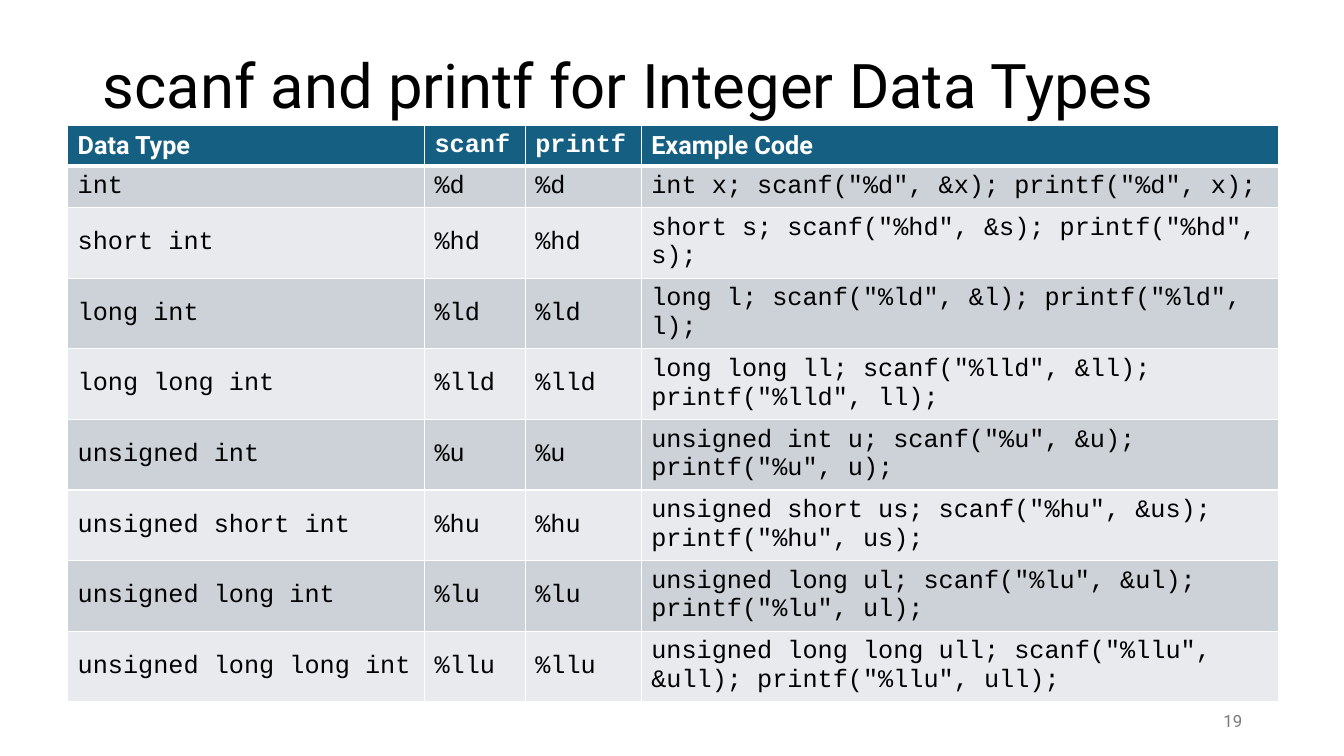
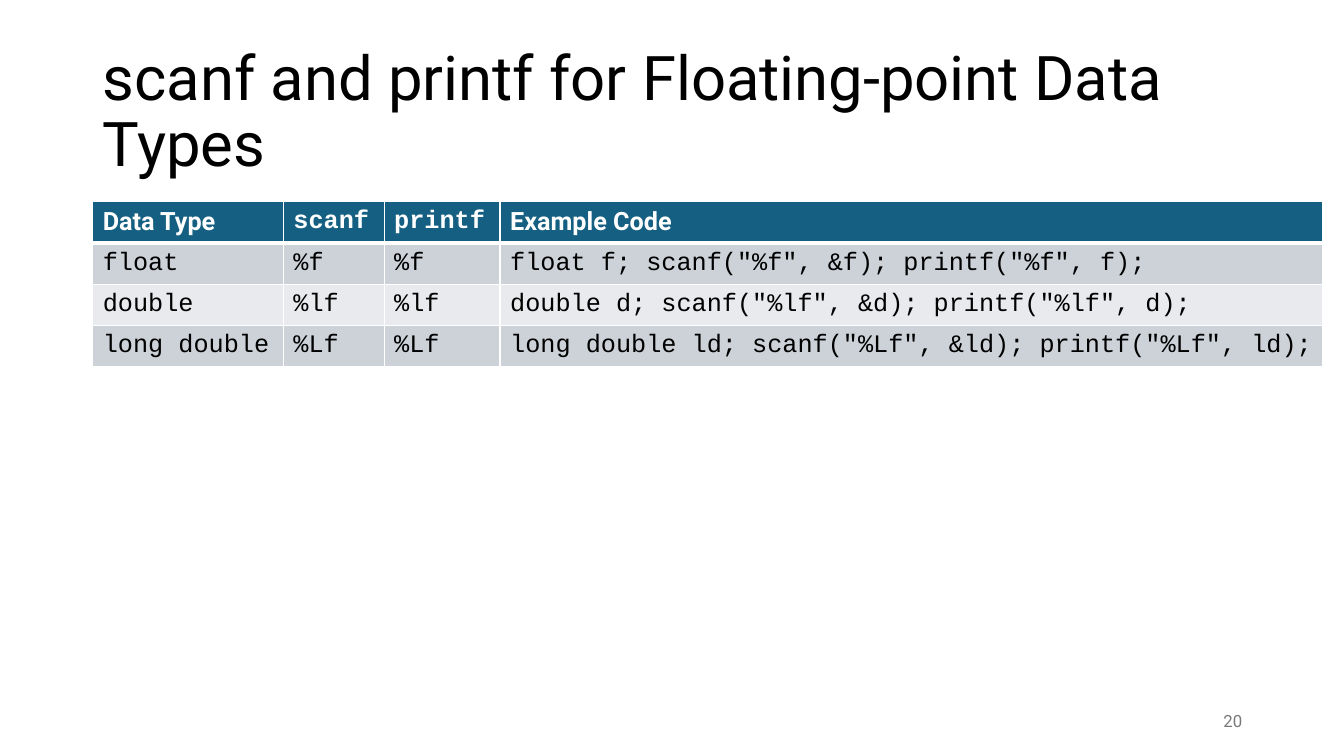
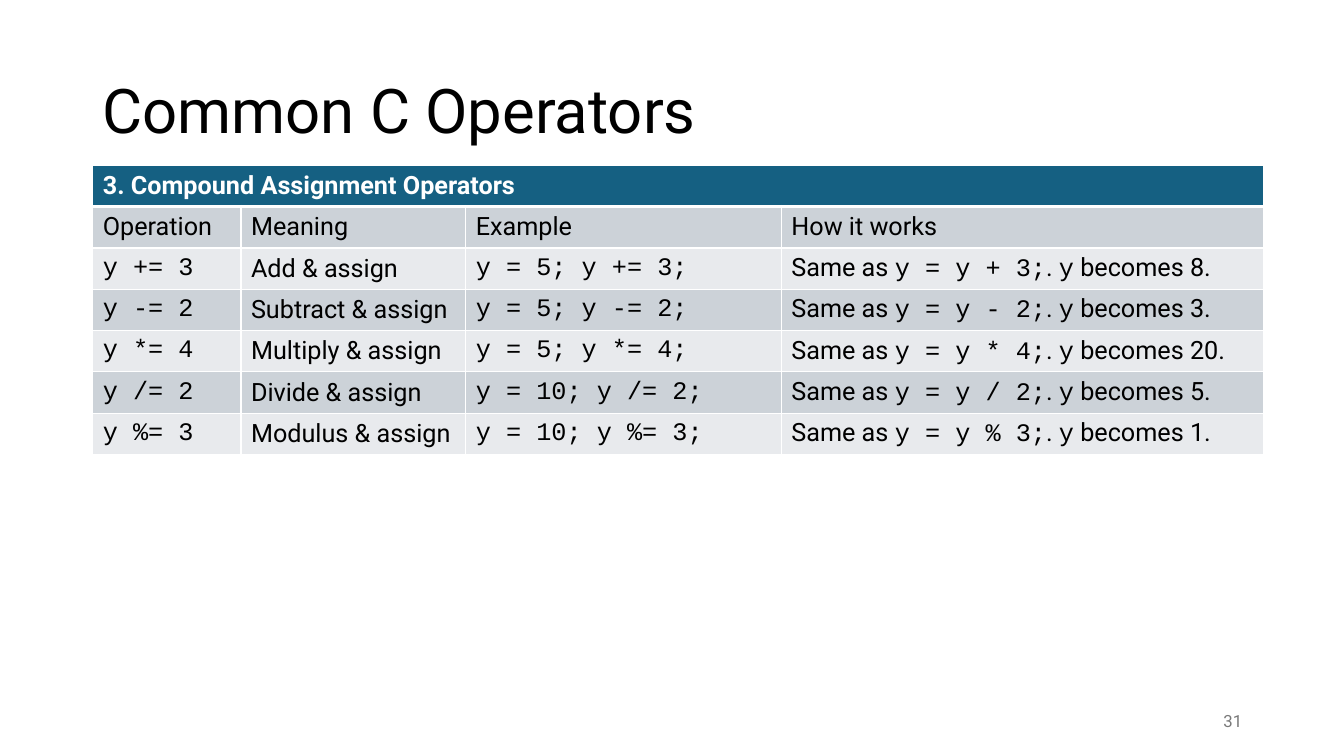
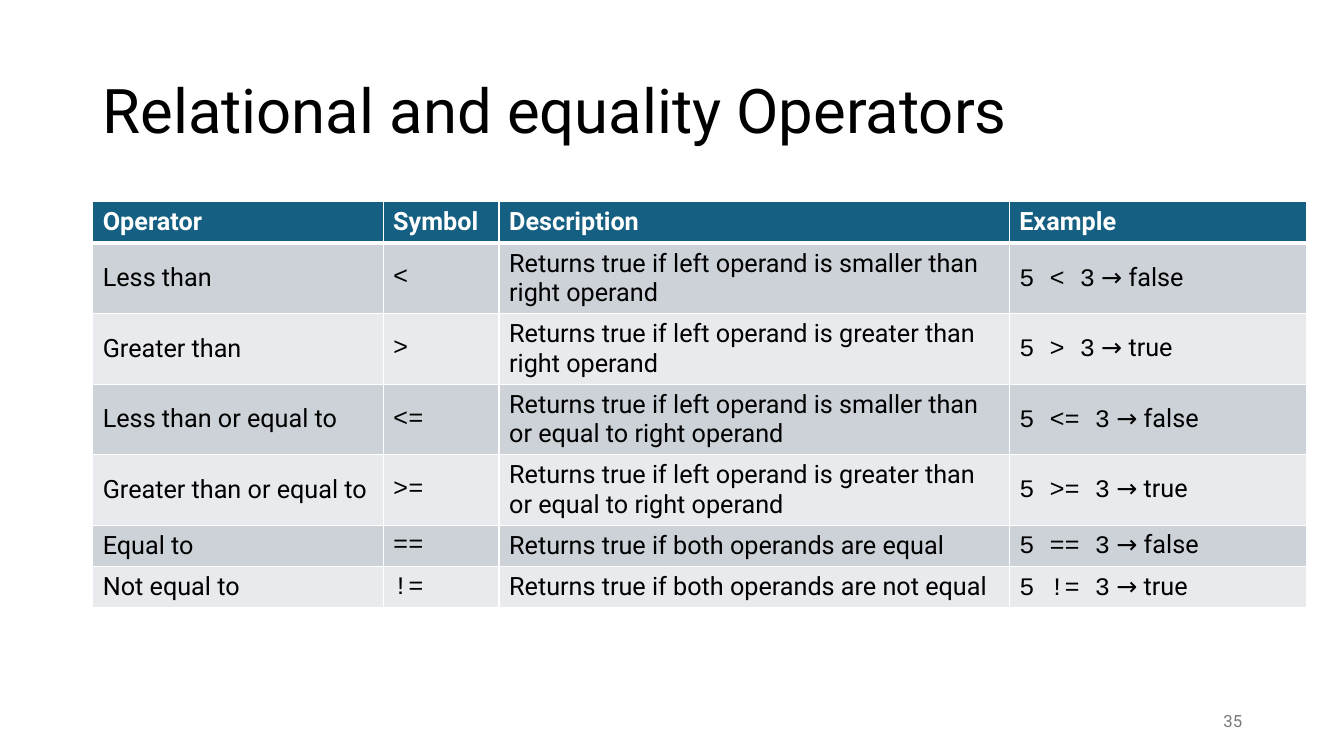
from lxml import etree
from pptx import Presentation
from pptx.dml.color import RGBColor
from pptx.enum.text import MSO_ANCHOR, PP_ALIGN
from pptx.oxml.ns import qn
from pptx.util import Inches, Pt

MIDDLE = MSO_ANCHOR.MIDDLE
LEFT, RIGHT = PP_ALIGN.LEFT, PP_ALIGN.RIGHT

# Shared style
BLACK = RGBColor(0x00, 0x00, 0x00)
WHITE = RGBColor(0xFF, 0xFF, 0xFF)
GREY = RGBColor(0x79, 0x79, 0x79)
HEADER_BLUE = RGBColor(0x15, 0x60, 0x82)
BANDS = [RGBColor(0xCC, 0xD2, 0xD8), RGBColor(0xE8, 0xEA, 0xED)]
PROSE_FONT = "Roboto"
CODE_FONT = "Courier New"
ROW_HEIGHT = 0.41

# Slide contents; text between backticks is set in the code font
FORMAT_HEADER = ["Data Type", "`scanf`", "`printf`", "Example Code"]

# Data type, declared type, conversion, variable
INTEGERS = [
    ("int", "int", "%d", "x"),
    ("short int", "short", "%hd", "s"),
    ("long int", "long", "%ld", "l"),
    ("long long int", "long long", "%lld", "ll"),
    ("unsigned int", "unsigned int", "%u", "u"),
    ("unsigned short int", "unsigned short", "%hu", "us"),
    ("unsigned long int", "unsigned long", "%lu", "ul"),
    ("unsigned long long int", "unsigned long long", "%llu", "ull"),
]
FLOATS = [
    ("float", "float", "%f", "f"),
    ("double", "double", "%lf", "d"),
    ("long double", "long double", "%Lf", "ld"),
]
integer_rows, float_rows = [
    [[f"`{data_type}`", f"`{conversion}`", f"`{conversion}`",
      f'`{declared} {name}; scanf("{conversion}", &{name}); printf("{conversion}", {name});`']
     for data_type, declared, conversion, name in types]
    for types in (INTEGERS, FLOATS)
]

# Operator, operand, verb, starting value, result
ASSIGNMENTS = [
    ("+", 3, "Add", 5, 8),
    ("-", 2, "Subtract", 5, 3),
    ("*", 4, "Multiply", 5, 20),
    ("/", 2, "Divide", 10, 5),
    ("%", 3, "Modulus", 10, 1),
]
assignment_rows = [
    [f"`y {op}= {operand}`", f"{verb} & assign", f"`y = {start}; y {op}= {operand};`",
     f"Same as `y = y {op} {operand};`. `y` becomes {result}."]
    for op, operand, verb, start, result in ASSIGNMENTS
]

# Operator, symbol, condition, result
COMPARISONS = [
    ("Less than", "<", "left operand is smaller than right operand", "false"),
    ("Greater than", ">", "left operand is greater than right operand", "true"),
    ("Less than or equal to", "<=",
     "left operand is smaller than or equal to right operand", "false"),
    ("Greater than or equal to", ">=",
     "left operand is greater than or equal to right operand", "true"),
    ("Equal to", "==", "both operands are equal", "false"),
    ("Not equal to", "!=", "both operands are not equal", "true"),
]
comparison_rows = [
    [operator, f"`{symbol}`", f"Returns true if {condition}", f"`5 {symbol} 3` → {result}"]
    for operator, symbol, condition, result in COMPARISONS
]

# Title, title top, table left and top, column widths, rows, page number
SLIDES = [
    ("scanf and printf for Integer Data Types", 0.15, 0.67, 1.24,
     [3.54, 1, 1.15, 6.32], [FORMAT_HEADER] + integer_rows, 19),
    ("scanf and printf for Floating-point Data Types", 0.4, 0.92, 2,
     [1.89, 1, 1.15, 8.16], [FORMAT_HEADER] + float_rows, 20),
    ("Common C Operators", 0.4, 0.92, 1.64, [1.47, 2.23, 3.13, 4.78],
     [["3. Compound Assignment Operators"],
      ["Operation", "Meaning", "Example", "How it works"]] + assignment_rows, 31),
    ("Relational and equality Operators", 0.4, 0.92, 2, [2.88, 1.15, 5.06, 2.95],
     [["Operator", "Symbol", "Description", "Example"]] + comparison_rows, 35),
]


def add_text(slide, text, left, top, width, height, size, color, align):
    frame = slide.shapes.add_textbox(
        Inches(left), Inches(top), Inches(width), Inches(height)).text_frame
    frame.word_wrap = True
    frame.vertical_anchor = MIDDLE
    paragraph = frame.paragraphs[0]
    paragraph.text = text
    paragraph.alignment = align
    paragraph.font.name = PROSE_FONT
    paragraph.font.size = Pt(size)
    paragraph.font.color.rgb = color
    return paragraph


def style_cell(cell, is_header, fill):
    cell.vertical_anchor = MIDDLE
    properties = cell._tc.get_or_add_tcPr()
    for side in ("lnL", "lnR", "lnT", "lnB"):
        points = 3 if is_header and side == "lnB" else 1
        line = etree.SubElement(properties, qn(f"a:{side}"), w=str(Pt(points)))
        solid = etree.SubElement(line, qn("a:solidFill"))
        etree.SubElement(solid, qn("a:srgbClr"), val=str(WHITE))
    cell.fill.solid()
    cell.fill.fore_color.rgb = fill
    font = cell.text_frame.paragraphs[0].font
    font.size = Pt(18)
    font.bold = is_header
    font.color.rgb = WHITE if is_header else BLACK


prs = Presentation()
prs.slide_width = Inches(13.33)
prs.slide_height = Inches(7.5)

for title, title_top, left, top, widths, rows, page in SLIDES:
    slide = prs.slides.add_slide(prs.slide_layouts[6])

    # Title
    heading = add_text(slide, title, 0.92, title_top, 11.5, 1.45, 44, BLACK, LEFT)
    heading.line_spacing = 0.9

    # Table
    table = slide.shapes.add_table(
        len(rows), len(widths), Inches(left), Inches(top),
        Inches(sum(widths)), Inches(ROW_HEIGHT * len(rows))).table
    for column, width in zip(table.columns, widths):
        column.width = Inches(width)
    for r, texts in enumerate(rows):
        is_header = r == 0
        fill = HEADER_BLUE if is_header else BANDS[(r - 1) % 2]
        for cell in table.rows[r].cells:
            style_cell(cell, is_header, fill)
        if len(texts) == 1:
            table.cell(r, 0).merge(table.cell(r, len(widths) - 1))
        for c, text in enumerate(texts):
            paragraph = table.cell(r, c).text_frame.paragraphs[0]
            for i, part in enumerate(text.split("`")):
                if part:
                    run = paragraph.add_run()
                    run.text = part
                    run.font.name = CODE_FONT if i % 2 else PROSE_FONT

    # Page number
    add_text(slide, str(page), 9.42, 6.95, 3, 0.4, 12, GREY, RIGHT)

prs.save("out.pptx")
